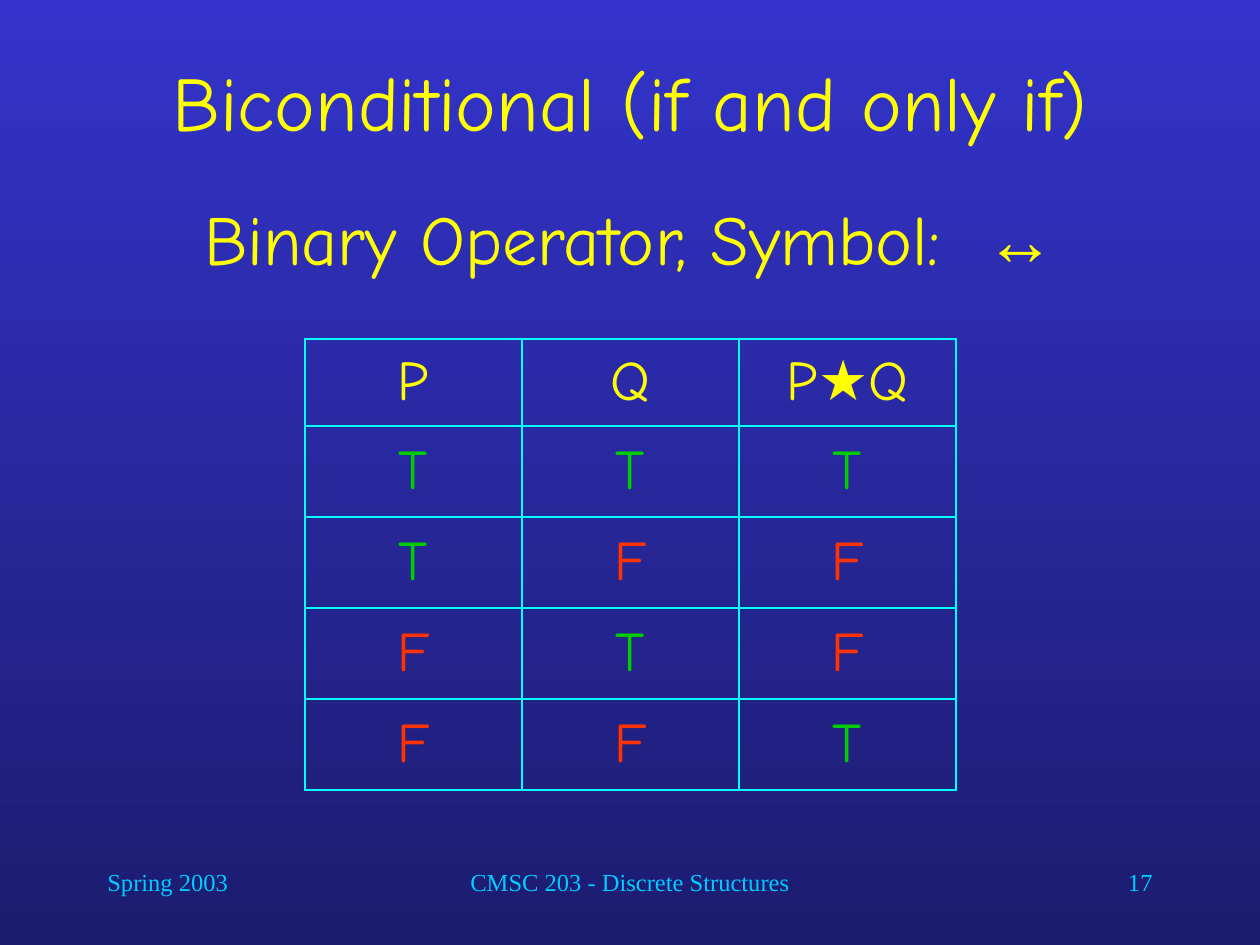
from lxml import etree
from pptx import Presentation
from pptx import util as u
from pptx.dml.color import RGBColor
from pptx.enum import text
from pptx.oxml import ns

YELLOW = RGBColor(0xFF, 0xFF, 0x00)
GREEN = RGBColor(0x00, 0xCC, 0x00)
RED = RGBColor(0xFF, 0x33, 0x00)
CYAN = RGBColor(0x00, 0xFF, 0xFF)
SKY = RGBColor(0x00, 0xCC, 0xFF)
BACKGROUND = (RGBColor(0x33, 0x33, 0xCC), RGBColor(0x1C, 0x1C, 0x6F))
HAND, SERIF, SANS = "Comic Neue", "Times New Roman", "Arial"
LEFT, CENTER, RIGHT = (text.PP_ALIGN.LEFT, text.PP_ALIGN.CENTER,
                       text.PP_ALIGN.RIGHT)

TITLE = "Biconditional (if and only if)"
OPERATOR = "Binary Operator, Symbol:"
SYMBOL = "↔"
TRUTH_TABLE = [
    (("P",), ("Q",), ("P", "★", "Q")),
    ("T", "T", "T"),
    ("T", "F", "F"),
    ("F", "T", "F"),
    ("F", "F", "T"),
]
VALUE_COLORS = {"T": GREEN, "F": RED}
FOOTERS = [  # text, left, width, alignment
    ("Spring 2003", 95, 262, LEFT),
    ("CMSC 203 - Discrete Structures", 357, 546, CENTER),
    ("17", 903, 262, RIGHT),
]
FOOTER_TOP, FOOTER_H = 861, 63
TABLE_LEFT, TABLE_TOP, COL_W, HEAD_H, ROW_H = 305, 339, 217, 87, 91
BORDER_PT = 1.47


def px(n):
    return u.Emu(n * u.Inches(1) // 126)


def add_run(p, words, size, color, font=HAND, bold=False):
    r = p.add_run()
    r.text = words
    r.font.size, r.font.name, r.font.bold = u.Pt(size), font, bold
    r.font.color.rgb = color
    return r


def place(sp, left, top, width, height, anchor):
    """Set the box and text frame, and return the first paragraph."""
    sp.left, sp.top, sp.width, sp.height = map(px, (left, top, width, height))
    tf = sp.text_frame
    tf.word_wrap = True
    tf.auto_size = text.MSO_AUTO_SIZE.NONE
    tf.vertical_anchor = anchor
    p = tf.paragraphs[0]
    p.alignment = CENTER
    p.space_before = u.Pt(0)
    return p


def add_borders(cell):
    tc_pr = cell._tc.get_or_add_tcPr()
    for side in ("lnL", "lnR", "lnT", "lnB"):
        ln = etree.SubElement(tc_pr, ns.qn(f"a:{side}"),
                              w=str(u.Pt(BORDER_PT)))
        fill = etree.SubElement(ln, ns.qn("a:solidFill"))
        etree.SubElement(fill, ns.qn("a:srgbClr"), val=str(CYAN))


def add_truth_table(slide):
    rows, cols = len(TRUTH_TABLE), len(TRUTH_TABLE[0])
    table = slide.shapes.add_table(
        rows, cols, px(TABLE_LEFT), px(TABLE_TOP), px(cols * COL_W),
        px(HEAD_H + (rows - 1) * ROW_H)).table
    table.first_row = table.horz_banding = False
    for col in table.columns:
        col.width = px(COL_W)
    for i, values in enumerate(TRUTH_TABLE):
        table.rows[i].height = px(ROW_H if i else HEAD_H)
        for j, parts in enumerate(values):
            cell = table.cell(i, j)
            add_borders(cell)
            cell.fill.background()
            cell.vertical_anchor = text.MSO_ANCHOR.MIDDLE
            p = cell.text_frame.paragraphs[0]
            p.alignment = CENTER
            for part in parts:
                add_run(p, part, 32, VALUE_COLORS.get(part, YELLOW),
                        bold=part == "★")


def main():
    prs = Presentation()
    prs.slide_width, prs.slide_height = px(1260), px(945)
    slide = prs.slides.add_slide(prs.slide_layouts[1])
    fill = slide.background.fill
    fill.gradient()
    fill.gradient_angle = 270
    for stop, color in zip(fill.gradient_stops, BACKGROUND):
        stop.color.rgb = color

    for words, left, width, align in FOOTERS:
        sp = slide.shapes.add_textbox(0, 0, 0, 0)
        p = place(sp, left, FOOTER_TOP, width, FOOTER_H, text.MSO_ANCHOR.TOP)
        p.alignment = align
        add_run(p, words, 14, SKY, SERIF)

    p = place(slide.shapes.title, 95, 53, 1071, 95, text.MSO_ANCHOR.MIDDLE)
    add_run(p, TITLE, 44, YELLOW)

    p = place(slide.placeholders[1], 73, 189, 1113, 116, text.MSO_ANCHOR.TOP)
    p_pr = p._p.get_or_add_pPr()
    p_pr.set("marL", "0")
    p_pr.set("indent", "0")
    etree.SubElement(p_pr, ns.qn("a:buNone"))
    add_run(p, OPERATOR, 40, YELLOW)
    gap = add_run(p, " ", 40, YELLOW)
    gap._r.get_or_add_rPr().set("spc", "1200")
    add_run(p, SYMBOL, 40, YELLOW, SANS, bold=True)

    add_truth_table(slide)
    prs.save("out.pptx")


if __name__ == "__main__":
    main()
